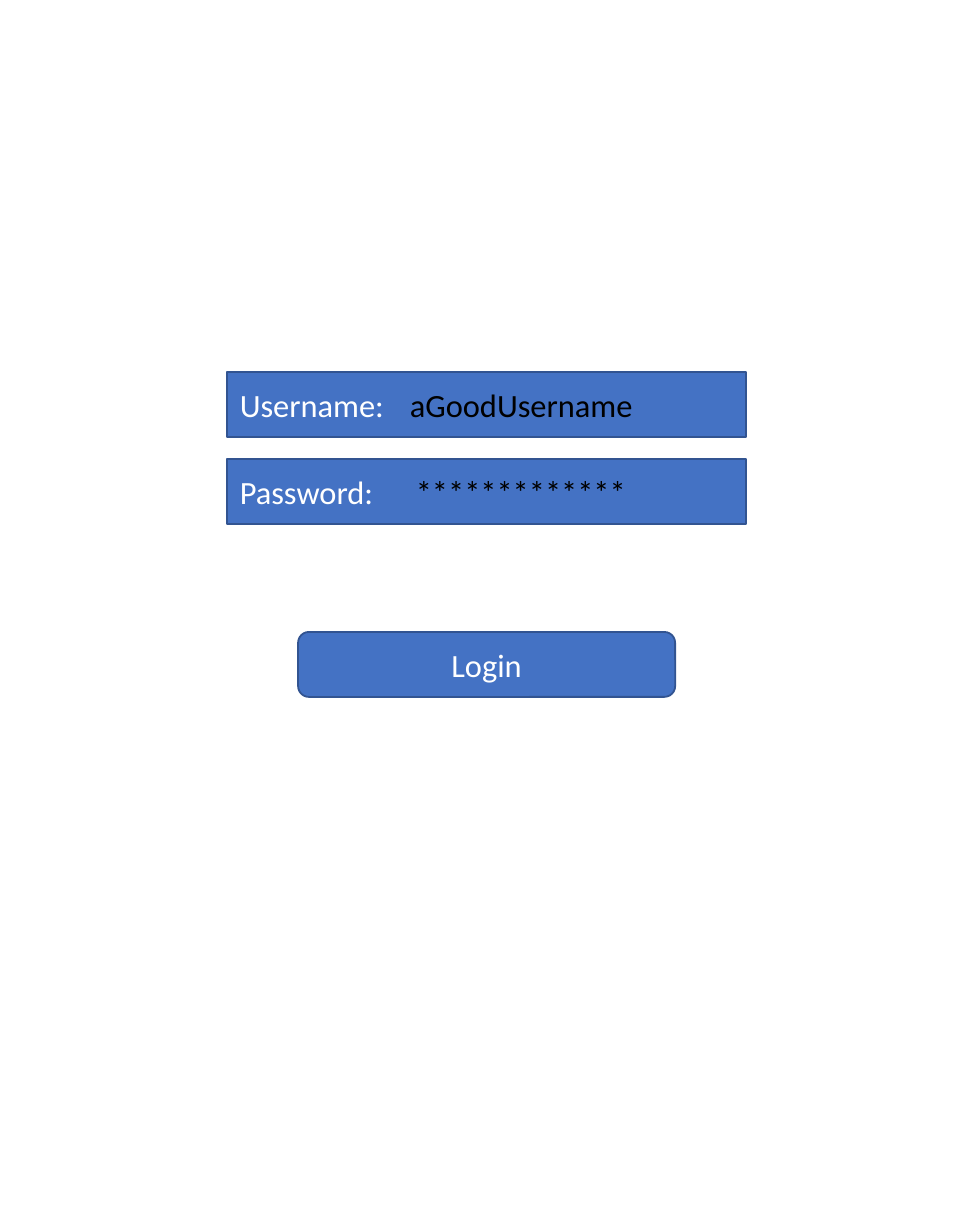
from pptx import Presentation
from pptx.dml.color import RGBColor
from pptx.enum.shapes import MSO_SHAPE as Shape
from pptx.enum.text import MSO_ANCHOR as Anchor, MSO_AUTO_SIZE as AutoSize, PP_ALIGN as Align
from pptx.util import Inches, Pt

PX = 914400 / 129.7
BLUE = RGBColor(0x44, 0x72, 0xC4)
NAVY = RGBColor(0x32, 0x54, 0x91)
WHITE = RGBColor(0xFF, 0xFF, 0xFF)
BLACK = RGBColor(0x00, 0x00, 0x00)
FONT = {"name": "Calibri", "size": Pt(18)}

FIELD_BOX = (227, 372, 519, 65)
FIELD_PITCH = 87
LOGIN_BOX = (298, 632, 377, 65)
# label, entry, entry offset from the field's left edge, entry width
FIELDS = [
    ("Username:", "aGoodUsername", 170, 361),
    ("Password:", "*" * 13, 176, 327),
]


def emu(box):
    """Turn a box in pixels into EMU."""
    return [round(length * PX) for length in box]


def write(frame, wording, color, align=Align.LEFT):
    """Put one formatted line of text into a text frame."""
    line = frame.paragraphs[0]
    line.alignment = align
    run = line.add_run()
    run.text = wording
    for key, setting in FONT.items():
        setattr(run.font, key, setting)
    run.font.color.rgb = color


def add_panel(slide, outline, box, label, align):
    """Add a blue panel with a white label, centred vertically."""
    panel = slide.shapes.add_shape(outline, *emu(box))
    panel.shadow.inherit = False
    panel.fill.solid()
    panel.fill.fore_color.rgb = BLUE
    panel.line.color.rgb = NAVY
    panel.line.width = Pt(1)
    panel.text_frame.vertical_anchor = Anchor.MIDDLE
    write(panel.text_frame, label, WHITE, align)


def add_entry(slide, box, wording):
    """Add the black text typed into a field."""
    frame = slide.shapes.add_textbox(*emu(box)).text_frame
    frame.word_wrap = True
    frame.auto_size = AutoSize.SHAPE_TO_FIT_TEXT
    write(frame, wording, BLACK)


def add_fields(slide, box):
    """Stack the labelled fields down from the given box, then their entries."""
    left, top, width, height = box
    tops = [top + FIELD_PITCH * row for row in range(len(FIELDS))]
    for y, (label, *_) in zip(tops, FIELDS):
        add_panel(slide, Shape.RECTANGLE, (left, y, width, height), label, Align.LEFT)
    for y, (_, entry, offset, entry_width) in zip(tops, FIELDS):
        add_entry(slide, (left + offset, y + 7, entry_width, 52), entry)


def add_login(slide, box):
    """Add the rounded login button in the given box."""
    add_panel(slide, Shape.ROUNDED_RECTANGLE, box, "Login", Align.CENTER)


deck = Presentation()
deck.slide_width, deck.slide_height = Inches(7.5), Inches(9.5)
login_page = deck.slides.add_slide(deck.slide_layouts[6])
add_fields(login_page, FIELD_BOX)
add_login(login_page, LOGIN_BOX)
deck.save("out.pptx")
